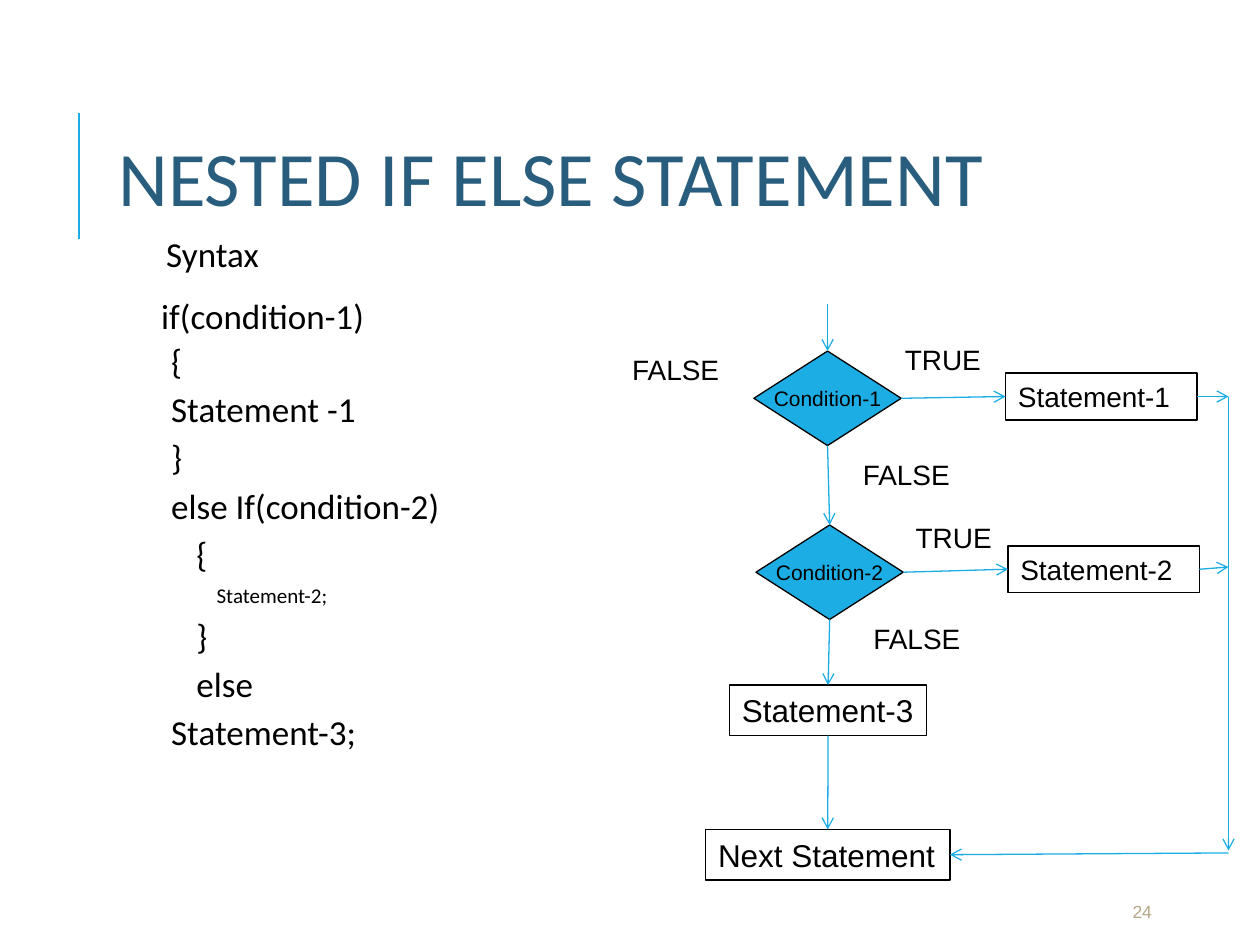
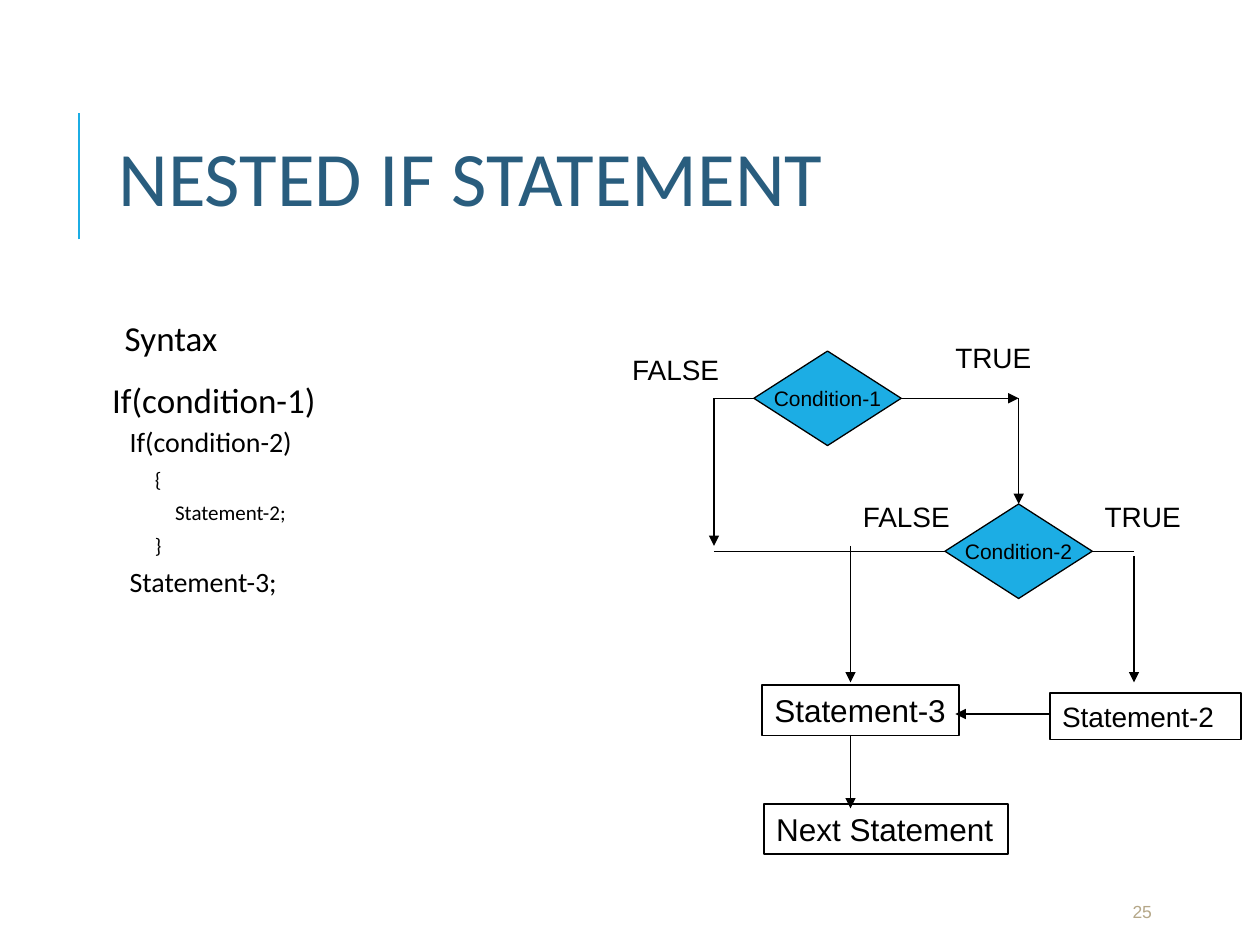
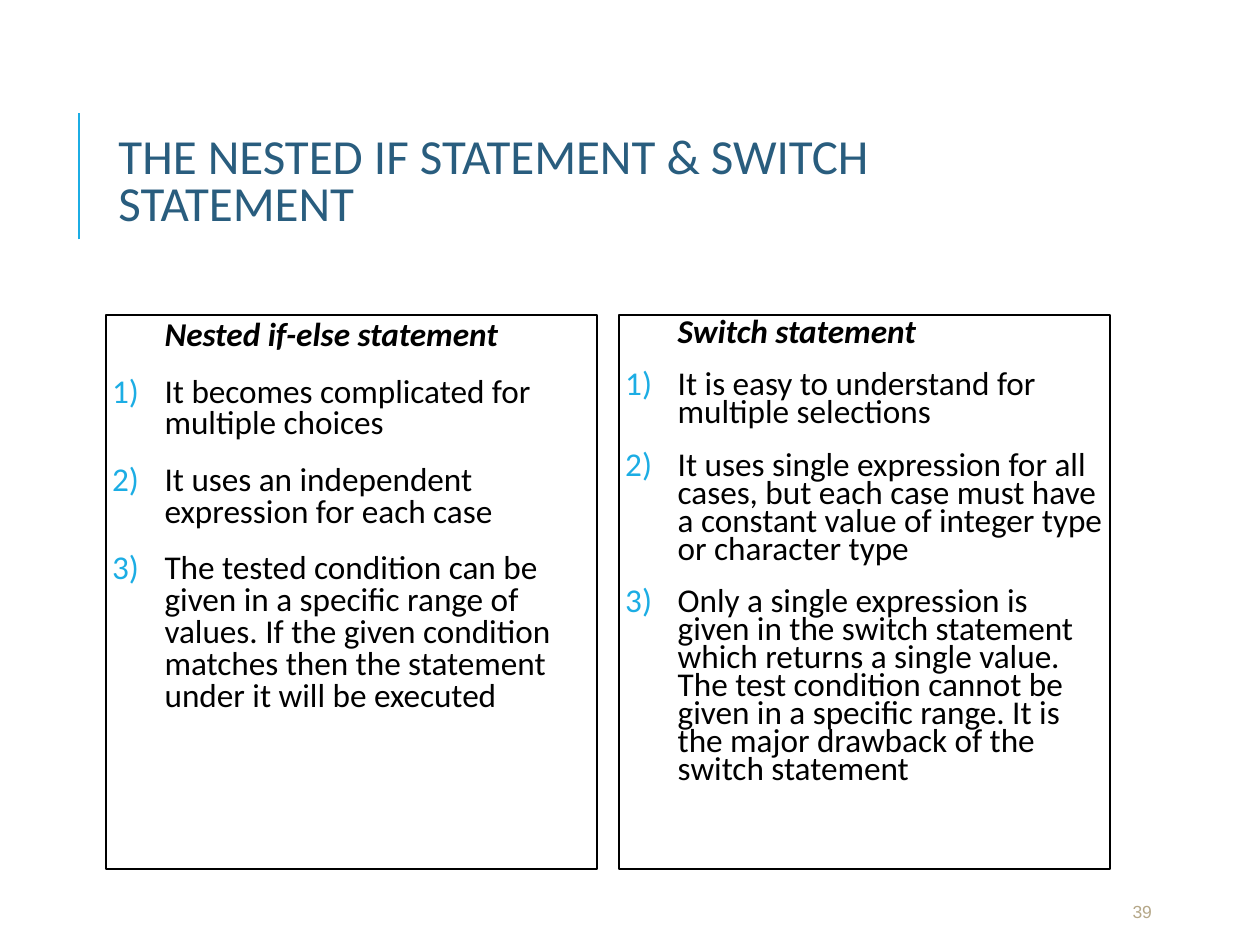
from lxml.etree import SubElement
from pptx import Presentation
from pptx.dml.color import RGBColor
from pptx.enum.shapes import MSO_CONNECTOR as Connector, MSO_SHAPE as Shape
from pptx.enum.text import MSO_ANCHOR as Anchor, MSO_AUTO_SIZE as AutoSize, PP_ALIGN as Align
from pptx.oxml.ns import qn
from pptx.util import Pt

COLORS = {
    "accent": "1CADE4",
    "title": "295D7E",
    "ink": "000000",
    "number": "B5A788",
}
TITLE_ONLY = 5
TOP, LEFT, BOTTOM, RIGHT = range(4)
LEVEL_INDENTS = [0, 10, 24.5, 36]
LABEL_WIDTHS = {"TRUE": 57.6, "FALSE": 64.8}
STATEMENT_3_WIDTH, NEXT_WIDTH = 112.6, 139.6


def rgb(name):
    return RGBColor.from_string(COLORS[name])


def add_text(frame, text, size=16, font="Arial", color="ink", bold=False, italic=False,
             align=Align.LEFT, spacing=1.0, before=0, after=0, indent=0, numbered=False):
    """Add a paragraph to the frame; a numbered one hangs its number in the indent."""
    paragraph = frame.paragraphs[0] if not frame.text else frame.add_paragraph()
    paragraph.alignment = align
    paragraph.line_spacing = spacing
    paragraph.space_before, paragraph.space_after = Pt(before), Pt(after)
    run = paragraph.add_run()
    run.text = text
    run.font.size, run.font.name = Pt(size), font
    run.font.bold, run.font.italic = bold, italic
    run.font.color.rgb = rgb(color)

    properties = paragraph._p.get_or_add_pPr()
    properties.set("marL", str(Pt(indent)))
    properties.set("indent", str(-Pt(indent) if numbered else 0))
    if numbered:
        number_color = SubElement(properties, qn("a:buClr"))
        SubElement(number_color, qn("a:srgbClr"), val=COLORS["accent"])
        SubElement(properties, qn("a:buAutoNum"), type="arabicParenR")


def set_frame(frame, wrap=True, anchor=Anchor.TOP, inset=7.2, grow=False):
    frame.word_wrap = wrap
    frame.vertical_anchor = anchor
    frame.margin_left = frame.margin_right = Pt(inset)
    frame.margin_top = frame.margin_bottom = Pt(3.6)
    frame.auto_size = AutoSize.SHAPE_TO_FIT_TEXT if grow else AutoSize.NONE
    return frame


def add_text_box(slide, left, top, width, height, **layout):
    box = slide.shapes.add_textbox(Pt(left), Pt(top), Pt(width), Pt(height))
    return set_frame(box.text_frame, **layout)


def add_outlined(slide, kind, left, top, width, height, line_width=1, fill=None):
    shape = slide.shapes.add_shape(kind, Pt(left), Pt(top), Pt(width), Pt(height))
    shape.shadow.inherit = False
    if fill:
        shape.fill.solid()
        shape.fill.fore_color.rgb = rgb(fill)
    else:
        shape.fill.background()
    shape.line.color.rgb = rgb("ink")
    shape.line.width = Pt(line_width)
    return shape


def add_condition(slide, text, left, top):
    diamond = add_outlined(slide, Shape.FLOWCHART_DECISION, left, top, 84.2, 54, 0.75, "accent")
    frame = set_frame(diamond.text_frame, wrap=False, anchor=Anchor.MIDDLE)
    add_text(frame, text, size=12, align=Align.CENTER)
    return diamond


def add_step(slide, text, left, top, width, height=28.8, size=18, wrap=False):
    step = add_outlined(slide, Shape.RECTANGLE, left, top, width, height)
    add_text(set_frame(step.text_frame, wrap=wrap, grow=True), text, size=size)
    return step


def add_branch_step(slide, text, left, top):
    return add_step(slide, text, left, top, 109.4, 26.6, size=16, wrap=True)


def add_labels(slide, *labels):
    for text, left, top in labels:
        frame = add_text_box(slide, left, top, LABEL_WIDTHS[text], 26.6, wrap=False, grow=True)
        add_text(frame, text)


def add_line(slide, start, end, color="ink", width=0.75, head=None):
    """Draw a line between two ends, each a point or a (shape, side) pair."""
    is_point = [isinstance(end_[0], (int, float)) for end_ in (start, end)]
    coordinates = [Pt(value) for end_, point in zip((start, end), is_point)
                   for value in (end_ if point else (0, 0))]
    line = slide.shapes.add_connector(Connector.STRAIGHT, *coordinates)
    if not is_point[0]:
        line.begin_connect(*start)
    if not is_point[1]:
        line.end_connect(*end)
    line.line.color.rgb = rgb(color)
    line.line.width = Pt(width)
    properties = line.element.spPr
    if head:
        SubElement(properties.find(qn("a:ln")), qn("a:tailEnd"), type=head)
    SubElement(properties, qn("a:effectLst"))


def add_titled_slide(deck, title_text, number, size=44):
    slide = deck.slides.add_slide(deck.slide_layouts[TITLE_ONLY])
    add_line(slide, (45.2, 136.8), (45.2, 64.8), "accent", 1.5)
    title = slide.shapes.title
    title.left, title.top, title.width, title.height = Pt(60.5), Pt(46.1), Pt(573.8), Pt(118.1)
    add_text(set_frame(title.text_frame, anchor=Anchor.MIDDLE), title_text,
             size=size, font="Calibri", color="title", spacing=0.8)
    footer = add_text_box(slide, 640.1, 509.8, 57.6, 21.6, anchor=Anchor.MIDDLE)
    add_text(footer, str(number), size=10, color="number")
    return slide


def add_syntax(slide, left, top, width, height, opening, opening_indent, code):
    """List the syntax: code holds (level, text, size) rows below the opening line."""
    frame = add_text_box(slide, left, top, width, height, inset=3.6)
    for text, indent in (("Syntax", 7.2), (opening, opening_indent)):
        add_text(frame, text, size=20, font="Calibri", spacing=0.9,
                 before=12, after=2, indent=indent)
    for level, text, size in code:
        add_text(frame, text, size=size, font="Calibri", spacing=0.9,
                 before=2, after=4, indent=LEVEL_INDENTS[level])


def add_panel(slide, left, heading, points, spacing):
    panel = add_outlined(slide, Shape.RECTANGLE, left, 180, 280.8, 316.8)
    frame = set_frame(panel.text_frame, inset=3.6)
    style = dict(size=19, font="Calibri", spacing=spacing, before=12, after=2, indent=30)
    add_text(frame, heading, bold=True, italic=True, **style)
    for point in points:
        add_text(frame, point, numbered=True, **style)


def build_nested_if_else(deck):
    slide = add_titled_slide(deck, "NESTED IF ELSE STATEMENT", 24)
    add_syntax(slide, 84.2, 131.8, 606.2, 347, "if(condition-1)", 4.3, [
        (1, "{", 20),
        (1, "Statement -1", 20),
        (1, "}", 20),
        (1, "else If(condition-2)", 20),
        (2, "{", 20),
        (3, "Statement-2;", 12),
        (2, "}", 20),
        (2, "else", 20),
        (1, "Statement-3;", 20),
    ])
    condition_1 = add_condition(slide, "Condition-1", 430.8, 200.6)
    condition_2 = add_condition(slide, "Condition-2", 432, 300)
    statement_1 = add_branch_step(slide, "Statement-1", 574.6, 213.3)
    statement_2 = add_branch_step(slide, "Statement-2", 576, 312)
    statement_3 = add_step(slide, "Statement-3", 416.9, 391.5, STATEMENT_3_WIDTH)
    next_statement = add_step(slide, "Next Statement", 403.2, 474, NEXT_WIDTH)
    add_labels(slide, ("TRUE", 510, 192.2), ("TRUE", 516.2, 293.8),
               ("FALSE", 354.2, 198), ("FALSE", 486, 257.8), ("FALSE", 492, 351.4))

    return_x = 702
    for start, end in [
        ((472.9, 174), (condition_1, TOP)),
        ((condition_1, BOTTOM), (condition_2, TOP)),
        ((condition_2, BOTTOM), (statement_3, TOP)),
        ((statement_3, BOTTOM), (next_statement, TOP)),
        ((condition_1, RIGHT), (statement_1, LEFT)),
        ((condition_2, RIGHT), (statement_2, LEFT)),
        ((statement_1, RIGHT), (return_x, 226.6)),
        ((statement_2, RIGHT), (return_x, 324)),
        ((return_x, 226.6), (return_x, 486)),
        ((return_x, 487.4), (next_statement, RIGHT)),
    ]:
        add_line(slide, start, end, "accent", head="arrow")


def build_nested_if(deck):
    slide = add_titled_slide(deck, "NESTED IF STATEMENT", 25)
    add_syntax(slide, 60.5, 180, 573.8, 316.8, "If(condition-1)", 0, [
        (1, "If(condition-2)", 16),
        (2, "{", 12),
        (3, "Statement-2;", 12),
        (2, "}", 12),
        (1, "Statement-3;", 16),
    ])
    condition_1 = add_condition(slide, "Condition-1", 430.8, 200.6)
    condition_2 = add_condition(slide, "Condition-2", 540, 288)
    add_branch_step(slide, "Statement-2", 599.8, 396)
    add_step(slide, "Statement-3", 435.4, 391.5, STATEMENT_3_WIDTH)
    add_step(slide, "Next Statement", 436.4, 459.4, NEXT_WIDTH)
    add_labels(slide, ("TRUE", 538.8, 190.8), ("TRUE", 624.2, 282.2),
               ("FALSE", 354.2, 198), ("FALSE", 486, 282.2))

    false_x, merge_x, true_x = 408, 486, 648
    branch_y, inner_branch_y, inner_x = 227.6, 315, 582.1
    for start, end in [
        ((condition_1, LEFT), (false_x, branch_y)),
        ((false_x, inner_branch_y), (condition_2, LEFT)),
        ((condition_2, RIGHT), (true_x, inner_branch_y)),
    ]:
        add_line(slide, start, end)
    for start, end in [
        ((condition_1, RIGHT), (inner_x, branch_y)),
        ((inner_x, branch_y), (condition_2, TOP)),
        ((false_x, branch_y), (false_x, 312)),
        ((true_x, 318), (true_x, 390)),
        ((merge_x, 312), (merge_x, 390)),
        ((599.8, 408), (546, 408)),
        ((merge_x, 420), (merge_x, 462)),
    ]:
        add_line(slide, start, end, head="triangle")


def build_comparison(deck):
    slide = add_titled_slide(deck, "THE NESTED IF STATEMENT & SWITCH STATEMENT", 39, size=28)
    add_panel(slide, 60.5, "Nested if-else statement", [
        "It becomes complicated for multiple choices",
        "It uses an independent expression for each case",
        "The tested condition can be given in a specific range of values. "
        "If the given condition matches then the statement under it will be executed",
    ], spacing=0.8)
    add_panel(slide, 353.7, "Switch statement", [
        "It is easy to understand for multiple selections",
        "It uses single expression for all cases, but each case must have "
        "a constant value of integer type or character type",
        "Only a single expression is given in the switch statement which returns "
        "a single value. The test condition cannot be given in a specific range. "
        "It is the major drawback of the switch statement",
    ], spacing=0.7)


def main():
    deck = Presentation()
    deck.slide_width, deck.slide_height = Pt(720), Pt(540)
    build_nested_if_else(deck)
    build_nested_if(deck)
    build_comparison(deck)
    deck.save("out.pptx")


if __name__ == "__main__":
    main()
